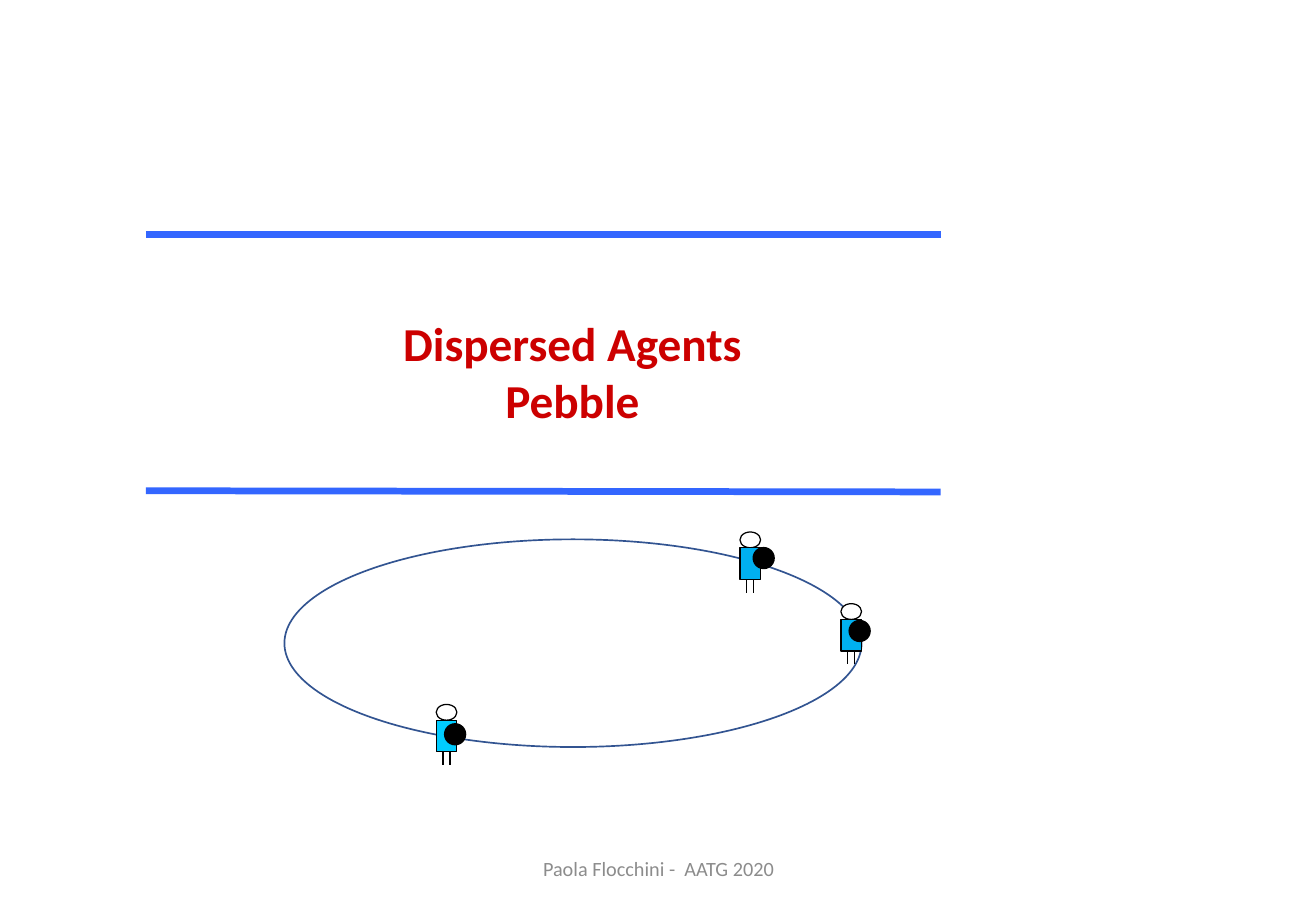
from dataclasses import dataclass

from lxml import etree
from pptx import Presentation
from pptx.dml.color import RGBColor
from pptx.enum.shapes import MSO_CONNECTOR, MSO_SHAPE
from pptx.enum.text import MSO_ANCHOR, MSO_AUTO_SIZE, PP_ALIGN
from pptx.oxml.ns import qn
from pptx.util import Inches, Pt

OVAL, RECTANGLE = MSO_SHAPE.OVAL, MSO_SHAPE.RECTANGLE
STRAIGHT = MSO_CONNECTOR.STRAIGHT
TOP, MIDDLE = MSO_ANCHOR.TOP, MSO_ANCHOR.MIDDLE
CENTER = PP_ALIGN.CENTER
NO_AUTOFIT = MSO_AUTO_SIZE.NONE
TITLE_ONLY = 5

SLIDE_WIDTH, SLIDE_HEIGHT = Inches(10.83), Inches(7.5)


@dataclass(frozen=True)
class Theme:
    """Colours, type sizes and line widths of the slide."""
    font: str = "Calibri"
    title: str = "CC0000"
    footer: str = "8C8C8C"
    rule: str = "3366FF"
    ring: str = "325491"
    black: str = "000000"
    white: str = "FFFFFF"
    blue: str = "00B0F0"
    cyan: str = "00CCFF"
    title_size: float = 28
    footer_size: float = 12
    rule_width: float = 4
    ring_width: float = 1
    agent_width: float = 0.75


THEME = Theme()

# Positions and sizes are percentages of the slide's width and height.
TITLE_BOX = (13.3, 33.87, 60.39, 13.87)
FOOTER_BOX = (33.15, 92.67, 33.8, 5.33)
RING_BOX = (21.61, 59.2, 43.86, 22.8)
RULE_LEFT, RULE_RIGHT = 11.08, 71.47
RULE_HEIGHTS = [(25.73, 25.73), (53.87, 54)]
AGENT_WIDTH, HEAD_HEIGHT, BODY_HEIGHT, LEG_HEIGHT = 1.57, 1.73, 3.47, 1.47
PEBBLE_SIZE = (1.57, 2.27)

# Agent's left and top, body colour, pebble's left and top.
AGENTS = [
    (56.23, 58.4, THEME.blue, 57.25, 60.13),
    (63.9, 66.27, THEME.blue, 64.54, 68.13),
    (33.15, 77.33, THEME.cyan, 33.8, 79.47),
]


def across(share):
    """Turn a percentage of the slide's width into a length."""
    return round(SLIDE_WIDTH * share / 100)


def down(share):
    """Turn a percentage of the slide's height into a length."""
    return round(SLIDE_HEIGHT * share / 100)


def place(box):
    """Turn a box of shares into left, top, width and height."""
    left, top, width, height = box
    return across(left), down(top), across(width), down(height)


def add_figure(shapes, kind, box, fill, line, width):
    """Add a filled and outlined preset shape."""
    shape = shapes.add_shape(kind, *place(box))
    shape.shadow.inherit = False
    shape.fill.solid()
    shape.fill.fore_color.rgb = RGBColor.from_string(fill)
    shape.line.color.rgb = RGBColor.from_string(line)
    shape.line.width = Pt(width)


def add_line(shapes, start, end, color, width):
    """Add a straight line without a shadow."""
    (x1, y1), (x2, y2) = start, end
    line = shapes.add_connector(STRAIGHT, across(x1), down(y1), across(x2), down(y2))
    line.line.color.rgb = RGBColor.from_string(color)
    line.line.width = Pt(width)
    etree.SubElement(line._element.spPr, qn("a:effectLst"))


def write_text(shape, lines, size, color, bold, anchor):
    """Write centred paragraphs in one style."""
    frame = shape.text_frame
    frame.word_wrap = True
    frame.auto_size = NO_AUTOFIT
    frame.vertical_anchor = anchor
    frame.text = "\n".join(lines)
    for paragraph in frame.paragraphs:
        paragraph.alignment = CENTER
        font = paragraph.font
        font.name, font.size, font.bold = THEME.font, Pt(size), bold
        font.color.rgb = RGBColor.from_string(color)


def add_title(slide, lines):
    """Move, fill and format the title placeholder."""
    title = slide.shapes.title
    title.left, title.top, title.width, title.height = place(TITLE_BOX)
    write_text(title, lines, THEME.title_size, THEME.title, True, TOP)


def add_footer(slide, text):
    """Add the centred line at the foot of the slide."""
    footer = slide.shapes.add_textbox(*place(FOOTER_BOX))
    write_text(footer, [text], THEME.footer_size, THEME.footer, False, MIDDLE)


def add_agent(slide, left, top, color):
    """Add a grouped agent: head, body and two legs."""
    shapes = slide.shapes.add_group_shape().shapes
    body_top = top + HEAD_HEIGHT
    leg_top = body_top + BODY_HEIGHT
    outline = (THEME.black, THEME.agent_width)
    add_figure(shapes, OVAL, (left, top, AGENT_WIDTH, HEAD_HEIGHT), THEME.white, *outline)
    add_figure(shapes, RECTANGLE, (left, body_top, AGENT_WIDTH, BODY_HEIGHT), color, *outline)
    for third in (1, 2):
        x = left + AGENT_WIDTH * third / 3
        add_line(shapes, (x, leg_top), (x, leg_top + LEG_HEIGHT), *outline)


def main():
    """Build the slide and save it."""
    presentation = Presentation()
    presentation.slide_width, presentation.slide_height = SLIDE_WIDTH, SLIDE_HEIGHT
    slide = presentation.slides.add_slide(presentation.slide_layouts[TITLE_ONLY])
    add_title(slide, ["Dispersed Agents", "Pebble"])
    add_figure(slide.shapes, OVAL, RING_BOX, THEME.white, THEME.ring, THEME.ring_width)
    for start, end in RULE_HEIGHTS:
        add_line(slide.shapes, (RULE_LEFT, start), (RULE_RIGHT, end),
                 THEME.rule, THEME.rule_width)
    for left, top, color, pebble_left, pebble_top in AGENTS:
        add_agent(slide, left, top, color)
        add_figure(slide.shapes, OVAL, (pebble_left, pebble_top, *PEBBLE_SIZE),
                   THEME.black, THEME.black, THEME.ring_width)
    add_footer(slide, "Paola Flocchini -  AATG 2020")
    presentation.save("out.pptx")


main()
